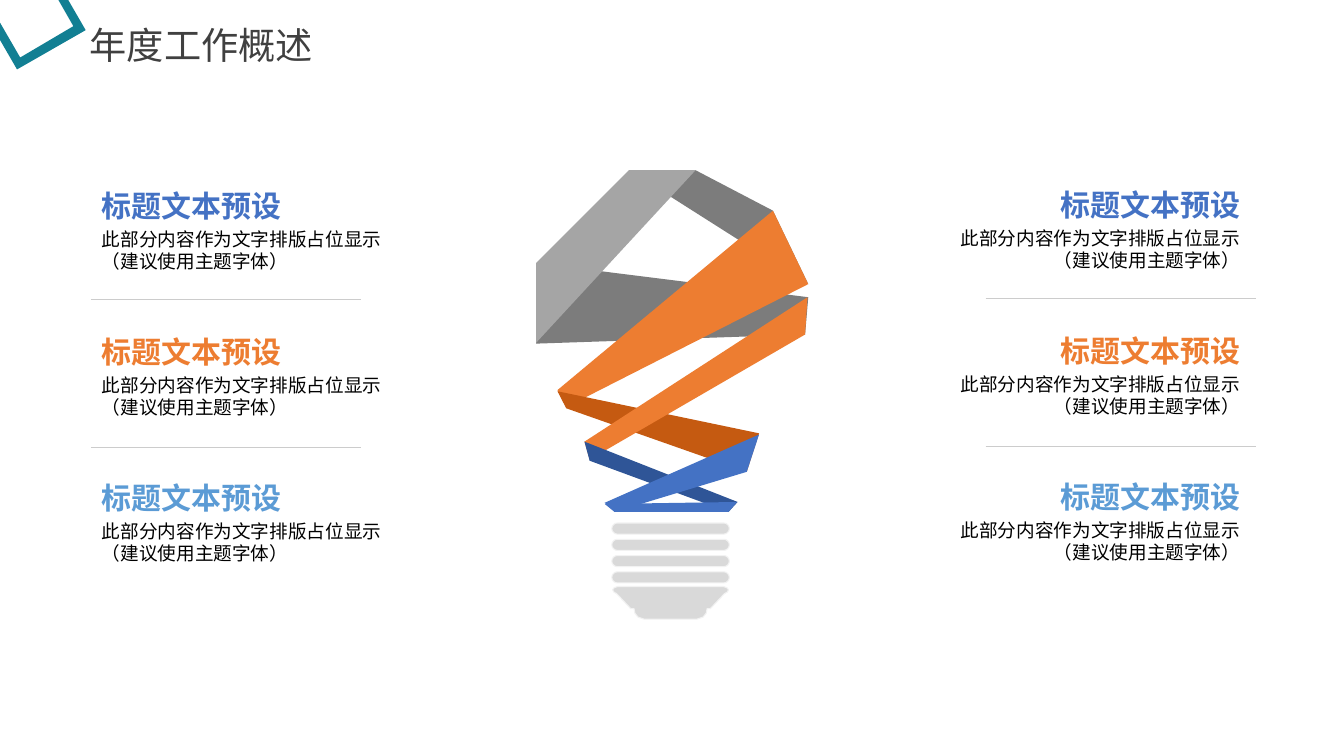
from math import cos, pi, sin

from lxml.etree import SubElement
from pptx import Presentation
from pptx.dml.color import RGBColor
from pptx.enum.shapes import MSO_CONNECTOR
from pptx.enum.text import MSO_ANCHOR, MSO_AUTO_SIZE, PP_ALIGN
from pptx.oxml.ns import qn
from pptx.util import Cm, Pt

COLOURS = {
    "blue": "4472C4", "navy": "2F5597", "orange": "ED7D31", "rust": "C55A11",
    "sky": "5B9BD5", "silver": "A5A5A5", "grey": "7C7C7C", "base": "D9D9D9",
    "edge": "F2F2F2", "rule": "CCCCCC", "teal": "127F93", "title": "404040",
    "black": "000000",
}
HEADING = "标题文本预设"
BODY = "此部分内容作为文字排版占位显示\v（建议使用主题字体）"
SECTION_COLOURS = ["blue", "orange", "sky"]
SECTION_PITCH = 3.68
RULE_PITCH = 3.72
COLUMNS = [
    {"text_left": 24, "rule_left": 24.84, "top": 4.72, "align": PP_ALIGN.RIGHT},
    {"text_left": 2.57, "rule_left": 2.29, "top": 4.74, "align": PP_ALIGN.LEFT},
]
FACETS = [
    ("grey", [(15.85, 4.29), (20.37, 7.16), (19.48, 5.31), (17.53, 4.29)]),
    ("grey", [(13.51, 6.63), (20.37, 7.49), (20.29, 8.43), (13.51, 8.66)]),
    ("orange", [(19.48, 5.31), (14.05, 9.83), (14.27, 10.26), (20.37, 7.16)]),
    ("rust", [(14.05, 9.86), (19.13, 10.92), (18.82, 11.89), (14.27, 10.29)]),
    ("orange", [(20.35, 7.49), (14.73, 11.13), (14.86, 11.58), (20.29, 8.43)]),
    ("navy", [(14.73, 11.13), (18.59, 12.65), (18.36, 12.9), (14.86, 11.61)]),
    ("silver", [(15.85, 4.29), (13.51, 6.63), (13.51, 8.64), (17.53, 4.29)]),
    ("blue", [(15.49, 12.9), (18.82, 11.89), (19.13, 10.95), (15.24, 12.67)]),
    ("blue", [(15.24, 12.7), (18.57, 12.65), (18.36, 12.9), (15.49, 12.9)]),
]
CORNER_FRAME = [
    [(-0.64, -0.1), (1.09, -1.09), (2.16, 0.76), (0.43, 1.75)],
    [(-0.33, 0), (0.51, 1.45), (1.85, 0.66), (1.02, -0.79)],
]
BULB_AXIS = 16.9
CAP_LEFT_EDGE = [
    (15.57, 14.78), (15.48, 14.81), (15.44, 14.86), (15.47, 14.92),
    (15.54, 14.96), (15.57, 14.99), (15.9, 15.34), (15.98, 15.34),
    (16, 15.45), (16.08, 15.55), (16.23, 15.6),
]


def pill(half_width, top, height):
    """Return the outline of a bar with round ends, centred on the bulb axis."""
    radius = height / 2
    outline = []
    for side in (1, -1):
        for step in range(9):
            angle = -pi / 2 + pi * step / 8
            outline.append((
                BULB_AXIS + side * (half_width - radius + radius * cos(angle)),
                top + radius + side * radius * sin(angle),
            ))
    return outline


class SlideBuilder:
    """Hold the style and the current slide, and add elements to it."""

    font = "Noto Sans CJK SC"

    def __init__(self, page):
        """Remember the slide that receives the elements."""
        self.page = page

    def colour(self, name):
        """Return the named colour."""
        return RGBColor.from_string(COLOURS[name])

    def fill_frame(self, frame, text, size, colour, **formats):
        """Fill a text frame with one formatted paragraph."""
        settings = {
            "margin_left": 0, "margin_right": 0, "margin_top": 0,
            "margin_bottom": 0, "word_wrap": True,
            "auto_size": MSO_AUTO_SIZE.NONE,
            "vertical_anchor": MSO_ANCHOR.MIDDLE,
        }
        for name, value in settings.items():
            setattr(frame, name, value)
        para = frame.paragraphs[0]
        para.text = text
        para.alignment = formats.pop("align", PP_ALIGN.LEFT)
        para.line_spacing = 1.0
        for span in para.runs:
            values = {"name": self.font, "size": Pt(size), "bold": False, **formats}
            for name, value in values.items():
                setattr(span.font, name, value)
            span.font.color.rgb = self.colour(colour)
            SubElement(span.font._element, qn("a:ea"), typeface=self.font)

    def title(self, text):
        """Place and format the title placeholder."""
        box = self.page.shapes.title
        places = {"left": 2.26, "top": 0.43, "width": 7.67, "height": 1.4}
        for name, value in places.items():
            setattr(box, name, Cm(value))
        self.fill_frame(box.text_frame, text, 26.6, "title")

    def text(self, place, text, size, colour, **formats):
        """Add a text box."""
        box = self.page.shapes.add_textbox(*map(Cm, place))
        self.fill_frame(box.text_frame, text, size, colour, **formats)

    def rule(self, left, top, width):
        """Add a thin horizontal line."""
        line = self.page.shapes.add_connector(
            MSO_CONNECTOR.STRAIGHT, Cm(left), Cm(top), Cm(left + width), Cm(top))
        line.line.color.rgb = self.colour("rule")
        line.line.width = Pt(0.5)
        SubElement(line._element.spPr, qn("a:effectLst"))

    def outline(self, contours, fill, edge=None):
        """Add a filled freeform made of closed contours."""
        contours = [[(Cm(x), Cm(y)) for x, y in contour] for contour in contours]
        builder = self.page.shapes.build_freeform(*contours[0][0])
        builder.add_line_segments(contours[0][1:])
        for contour in contours[1:]:
            builder.move_to(*contour[0])
            builder.add_line_segments(contour[1:])
        shape = builder.convert_to_shape()
        shape.shadow.inherit = False
        shape.fill.solid()
        shape.fill.fore_color.rgb = self.colour(fill)
        if edge:
            shape.line.color.rgb = self.colour(edge)
            shape.line.width = Pt(0.75)
        else:
            shape.line.fill.background()


def main():
    """Build the deck and save it."""
    deck = Presentation()
    deck.slide_width, deck.slide_height = Cm(33.87), Cm(19.05)
    builder = SlideBuilder(deck.slides.add_slide(deck.slide_layouts[5]))
    builder.title("年度工作概述")

    threads = [pill(1.48, 13.18 + 0.41 * index, 0.28) for index in range(4)]
    cap_right_edge = [(2 * BULB_AXIS - x, y) for x, y in reversed(CAP_LEFT_EDGE)]
    builder.outline(threads + [CAP_LEFT_EDGE + cap_right_edge], "base", "edge")
    for colour, facet in FACETS:
        builder.outline([facet], colour)

    for column in COLUMNS:
        left, align = column["text_left"], column["align"]
        for index, colour in enumerate(SECTION_COLOURS):
            top = column["top"] + SECTION_PITCH * index
            builder.text((left, top + 0.85, 7.26, 1.42), BODY, 13.3, "black", align=align)
            builder.text((left, top, 7.26, 0.86), HEADING, 21.4, colour,
                         align=align, bold=True)
        for index in range(len(SECTION_COLOURS) - 1):
            rule_top = column["top"] + 2.81 + RULE_PITCH * index
            builder.rule(column["rule_left"], rule_top, 6.8)

    builder.outline(CORNER_FRAME, "teal")
    deck.save("out.pptx")


if __name__ == "__main__":
    main()
